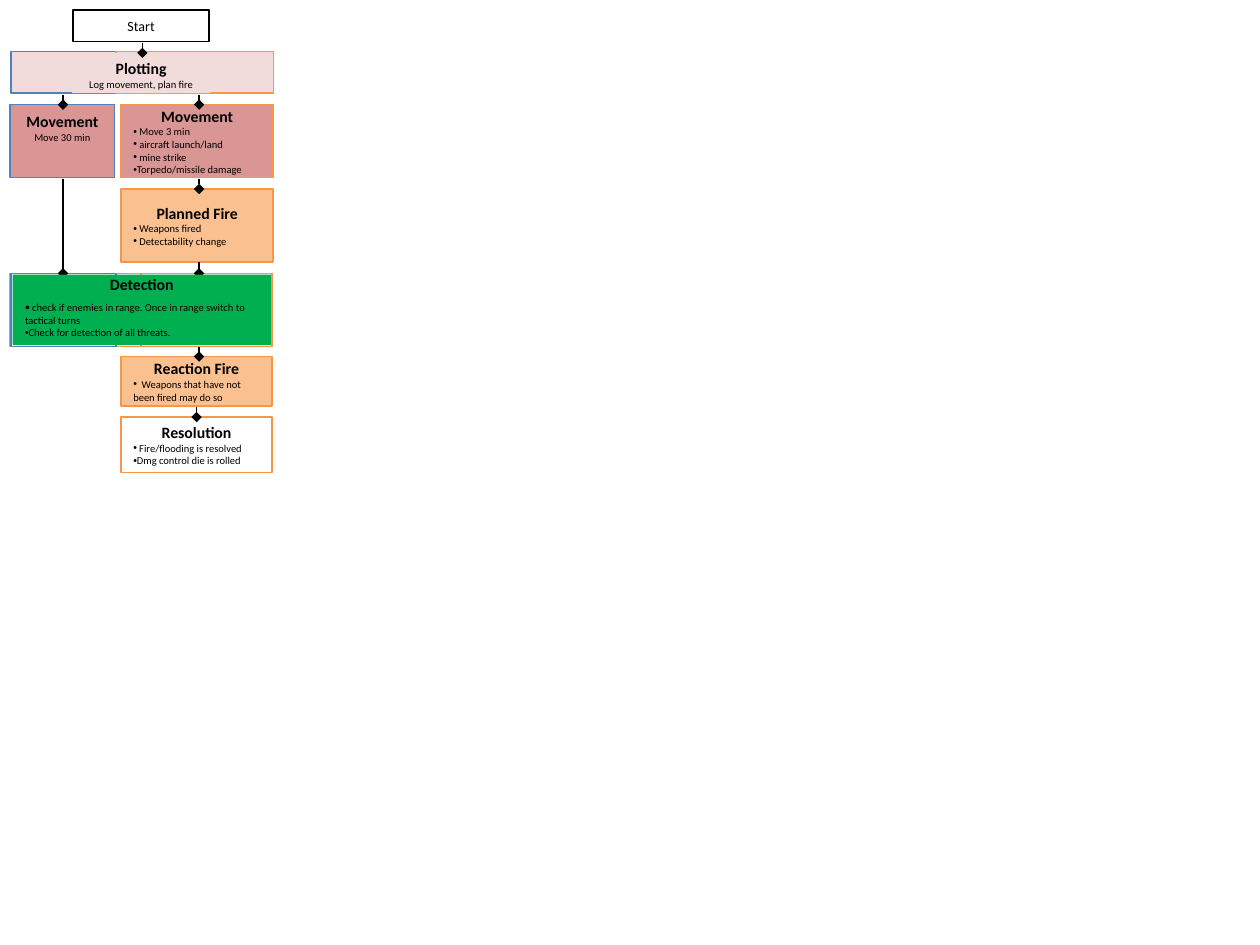
from dataclasses import dataclass

import pptx
import pptx.util
import pptx.dml.color
import pptx.enum.shapes
import pptx.enum.text
import pptx.oxml
import pptx.oxml.ns
from lxml import etree

Inches = pptx.util.Inches
Pt = pptx.util.Pt
Align = pptx.enum.text.PP_ALIGN
Anchor = pptx.enum.text.MSO_ANCHOR

BLACK, WHITE, BLUE, ORANGE = "000000", "FFFFFF", "4F81BD", "F79646"
ROSE, PINK, PEACH, GREEN = "D99694", "F2DCDB", "FAC090", "00B050"


@dataclass
class Box:
    left: float
    top: float
    width: float
    height: float
    fill: str = ""
    line: str = ""
    title: str = ""
    note: str = ""
    items: tuple[str, ...] = ()
    size: float = 9
    bold: bool = True
    anchor: Anchor = Anchor.MIDDLE
    inset: float = 0.05
    wrap: bool = True
    gap: float = 0
    dot: int = 100


@dataclass
class Link:
    x: float
    top: float
    end: float


def tint(hue: str) -> pptx.dml.color.RGBColor:
    return pptx.dml.color.RGBColor.from_string(hue)


def style(para, size: float, bold: bool, align: Align) -> None:
    para.alignment = align
    font = para.font
    font.name, font.size, font.bold = "Calibri", Pt(size), bold
    font.color.rgb = tint(BLACK)


def bullet(para, scale: int) -> None:
    props = para._p.get_or_add_pPr()
    props.set("marL", "0")
    props.set("indent", "0")
    marks = (("buSzPct", "val", str(scale * 1000)),
             ("buFont", "typeface", "Arial"), ("buChar", "char", "•"))
    nodes = []
    for tag, key, value in marks:
        node = etree.Element(pptx.oxml.ns.qn("a:" + tag))
        node.set(key, value)
        nodes.append(node)
    rest = props.find(pptx.oxml.ns.qn("a:defRPr"))
    for node in nodes:
        if rest is None:
            props.append(node)
        else:
            rest.addprevious(node)


def write(frame, box: Box) -> None:
    frame.word_wrap = box.wrap
    frame.vertical_anchor = box.anchor
    frame.margin_top = Inches(box.inset)
    para = frame.paragraphs[0]
    para.text = box.title
    style(para, box.size, box.bold, Align.CENTER)
    para.space_after = Pt(box.gap)
    if box.note:
        para = frame.add_paragraph()
        para.text = box.note
        style(para, 6, False, Align.CENTER)
    for i, item in enumerate(box.items):
        para = frame.add_paragraph()
        para.text = item
        style(para, 6, False, Align.LEFT)
        bullet(para, 100 if i else box.dot)


def draw_box(shapes, box: Box) -> None:
    shape = shapes.add_shape(
        pptx.enum.shapes.MSO_SHAPE.RECTANGLE, Inches(box.left),
        Inches(box.top), Inches(box.width), Inches(box.height))
    shape.shadow.inherit = False
    if box.fill:
        shape.fill.solid()
        shape.fill.fore_color.rgb = tint(box.fill)
    else:
        shape.fill.background()
    if box.line:
        shape.line.color.rgb = tint(box.line)
        shape.line.width = Pt(1)
    else:
        shape.line.fill.background()
    if box.title:
        write(shape.text_frame, box)


def draw_link(shapes, link: Link) -> None:
    wire = shapes.add_connector(
        pptx.enum.shapes.MSO_CONNECTOR.STRAIGHT, Inches(link.x),
        Inches(link.top), Inches(link.x), Inches(link.end))
    wire.line.color.rgb = tint(BLACK)
    wire.line.width = Pt(1)
    tail = etree.SubElement(wire.line._get_or_add_ln(),
                            pptx.oxml.ns.qn("a:tailEnd"))
    tail.set("type", "diamond")
    etree.SubElement(wire._element.spPr, pptx.oxml.ns.qn("a:effectLst"))


FLOW = (
    Box(0.58, 0.08, 1.08, 0.25, WHITE, BLACK, "Start", size=8, bold=False),
    Box(0.08, 0.83, 0.83, 0.58, ROSE, BLUE, "Movement", "Move 30 min",
        anchor=Anchor.TOP, inset=0.06),
    Box(0.96, 0.83, 1.21, 0.58, ROSE, ORANGE, "Movement",
        items=(" Move 3 min", " aircraft launch/land", " mine strike",
               "Torpedo/missile damage")),
    Link(0.5, 0.75, 0.83),
    Link(1.58, 0.75, 0.83),
    Box(0.96, 1.5, 1.21, 0.58, PEACH, ORANGE, "Planned Fire",
        items=(" Weapons fired", " Detectability change")),
    Box(0.08, 2.17, 2.08, 0.58, WHITE, ORANGE),
    Link(1.58, 1.42, 1.5),
    Box(0.09, 2.17, 0.83, 0.58, line=BLUE),
    Box(1.12, 2.17, 1.04, 0.58, line=ORANGE),
    Link(1.58, 2.08, 2.17),
    Link(0.5, 1.42, 2.17),
    Box(0.1, 2.18, 2.05, 0.56, GREEN, title="Detection",
        items=(" check if enemies in range. Once in range switch to "
               "tactical turns", "Check for detection of all threats."),
        anchor=Anchor.BOTTOM, gap=4, dot=133),
    Box(0.96, 2.83, 1.2, 0.39, PEACH, ORANGE, "Reaction Fire",
        items=("  Weapons that have not been fired may do so",)),
    Box(0.96, 3.31, 1.2, 0.44, WHITE, ORANGE, "Resolution",
        items=(" Fire/flooding is resolved", "Dmg control die is rolled")),
    Link(1.58, 2.75, 2.83),
    Link(1.56, 3.23, 3.31),
    Box(0.09, 0.41, 0.83, 0.33, PINK, BLUE),
    Box(0.92, 0.41, 1.25, 0.33, PINK, ORANGE),
    Box(0.57, 0.42, 1.1, 0.32, PINK, title="Plotting",
        note="Log movement, plan fire", anchor=Anchor.TOP, wrap=False),
    Link(1.13, 0.34, 0.42),
)

deck = pptx.Presentation()
deck.slide_width, deck.slide_height = Inches(10), Inches(7.5)
slide = deck.slides.add_slide(deck.slide_layouts[6])
for part in FLOW:
    if isinstance(part, Box):
        draw_box(slide.shapes, part)
    else:
        draw_link(slide.shapes, part)
deck.save("out.pptx")
